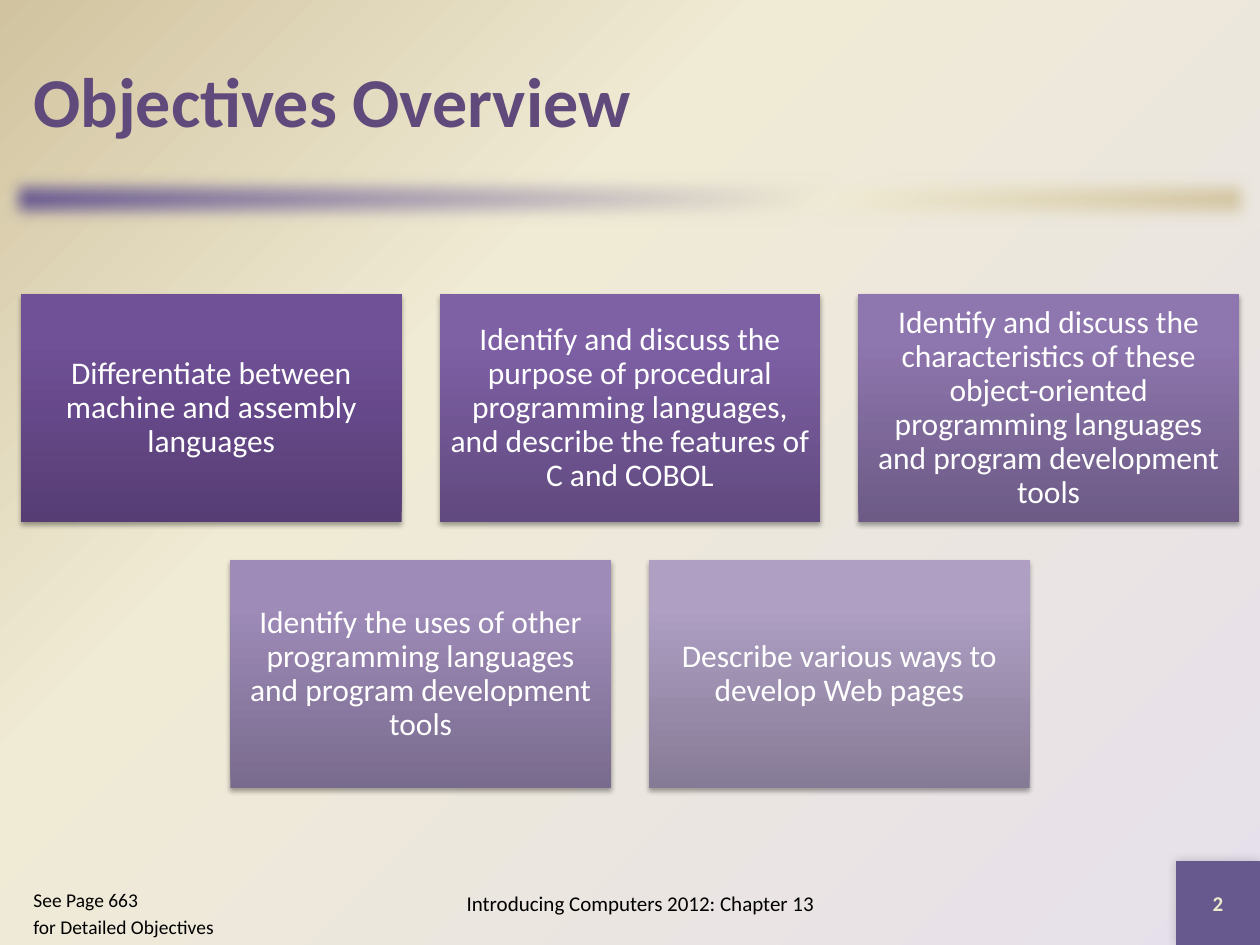
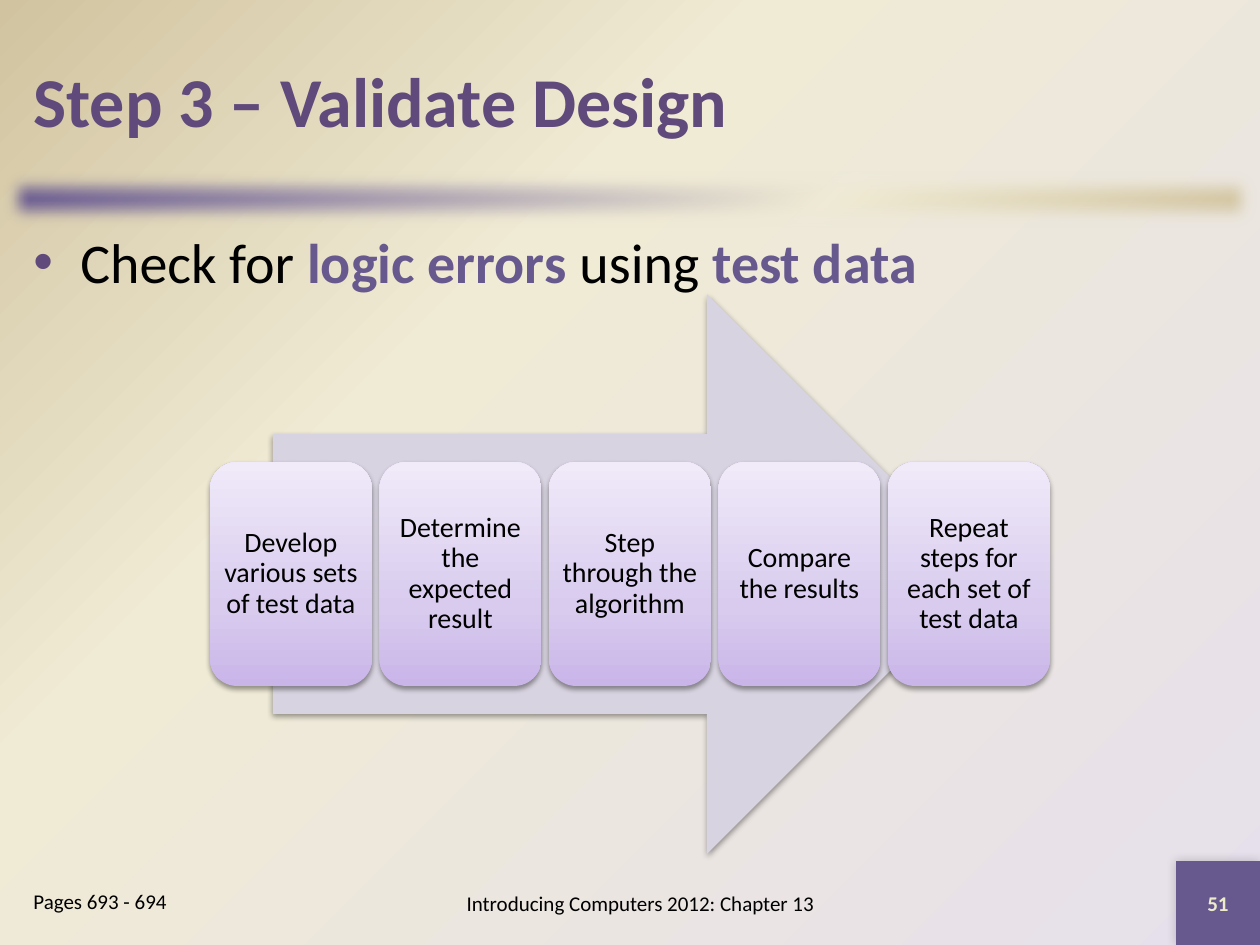
from lxml import etree
from pptx import Presentation
from pptx.dml.color import RGBColor
from pptx.enum.shapes import MSO_SHAPE as SHAPE
from pptx.enum.text import MSO_ANCHOR as ANCHOR, PP_ALIGN as ALIGN
from pptx.oxml import parse_xml
from pptx.oxml.ns import nsdecls, qn
from pptx.util import Pt

PX = 914400 / 126
WIDTH, HEIGHT = 1260, 945
FONT = "Calibri"
VIOLET, PLUM, CREAM = "67588E", "604A7B", "EEEBCA"
BLACK, WHITE = "000000", "FFFFFF"
BACKDROP = [(0, "E6E0EC"), (65, "F0EBD5"), (100, "D1C39F")]
BAND = [(0, VIOLET)] + BACKDROP[1:]
STEP_FILL = [(0, "C9B5E8"), (35, "D8CBEE"), (100, "F0EAF9")]
FOOTER = "Introducing Computers 2012: Chapter 13"

# Shadows: opacity %, blur pt, distance pt, direction in degrees
CARD_SHADOW = (35, 3.1, 1.8, 90)
STEP_SHADOW = (38, 3.1, 1.6, 90)
CORNER_SHADOW = (20, 6, 0, 225)

TITLE = {"size": Pt(40), "bold": True, "color": PLUM}
BODY = {"size": Pt(32), "color": BLACK}
TERM = {**BODY, "bold": True, "color": VIOLET}
NOTE = {"size": Pt(12), "color": BLACK}
NUMBER = {"size": Pt(12), "bold": True, "color": CREAM}
CARD = {"size": Pt(18), "color": WHITE}
STEP = {"size": Pt(16), "color": BLACK}
CENTER = {"alignment": ALIGN.CENTER}
TIGHT = {**CENTER, "line_spacing": 0.9}

OBJECTIVES = [
    [("Differentiate between machine and assembly languages",
      ("563D74", "705097", "704F99")),
     ("Identify and discuss the purpose of procedural programming languages, "
      "and describe the features of C and COBOL",
      ("614A7F", "7E60A5", "7F60A7")),
     ("Identify and discuss the characteristics of these object-oriented "
      "programming languages and program development tools",
      ("6D5B86", "8E76AE", "8E75B0"))],
    [("Identify the uses of other programming languages and program "
      "development tools", ("796B8E", "9E8BB8", "9E8BBA")),
     ("Describe various ways to develop Web pages",
      ("867B96", "AE9FC3", "AE9FC4"))],
]
STEPS = ["Develop various sets of test data", "Determine the expected result",
         "Step through the algorithm", "Compare the results",
         "Repeat steps for each set of test data"]


def px(n):
    return round(n * PX)


def rgb(color):
    return RGBColor.from_string(color)


def gradient(parent, stops, angle=None):
    """Swap the empty fill of parent for a linear or a corner gradient."""
    gs = "".join(f'<a:gs pos="{pos * 1000}"><a:srgbClr val="{c}"/></a:gs>'
                 for pos, c in stops)
    if angle is None:
        shade = ('<a:path path="circle"><a:fillToRect l="100000" t="100000"/>'
                 '</a:path><a:tileRect r="-100000" b="-100000"/>')
    else:
        shade = f'<a:lin ang="{angle * 60000}" scaled="0"/>'
    parent.replace(parent.find(qn("a:noFill")), parse_xml(
        f'<a:gradFill {nsdecls("a")} rotWithShape="1">'
        f'<a:gsLst>{gs}</a:gsLst>{shade}</a:gradFill>'))


def add_effect(sp, xml):
    sp.element.spPr.find(qn("a:effectLst")).append(parse_xml(xml))


def add_shadow(sp, opacity, blur, dist, angle):
    add_effect(sp, f'<a:outerShdw {nsdecls("a")} blurRad="{Pt(blur)}" '
                   f'dist="{Pt(dist)}" dir="{angle * 60000}" algn="ctr" '
                   f'rotWithShape="0"><a:srgbClr val="{BLACK}">'
                   f'<a:alpha val="{opacity * 1000}"/></a:srgbClr>'
                   '</a:outerShdw>')


def add_bullet(p, color, indent):
    pPr = p._p.get_or_add_pPr()
    pPr.set("marL", str(px(indent)))
    pPr.set("indent", str(-px(indent)))
    clr = etree.SubElement(pPr, qn("a:buClr"))
    etree.SubElement(clr, qn("a:srgbClr"), val=color)
    etree.SubElement(pPr, qn("a:buFont"), typeface="Arial")
    etree.SubElement(pPr, qn("a:buChar"), char="•")


def add_runs(p, runs, para=None):
    for name, value in (para or {}).items():
        setattr(p, name, value)
    for text, fmt in runs:
        r = p.add_run()
        r.text = text
        r.font.name = FONT
        for name, value in fmt.items():
            if name == "color":
                r.font.color.rgb = rgb(value)
            else:
                setattr(r.font, name, value)


def set_frame(sp, anchor=ANCHOR.MIDDLE, inset=None):
    tf = sp.text_frame
    tf.word_wrap = True
    tf.vertical_anchor = anchor
    if inset is not None:
        for side in ("left", "top", "right", "bottom"):
            setattr(tf, f"margin_{side}", px(inset))
    return tf


def add_text(s, box, anchor=ANCHOR.MIDDLE):
    return set_frame(s.shapes.add_textbox(*map(px, box)), anchor)


def add_shape(s, kind, box, fill, angle=270, shadow=None):
    sp = s.shapes.add_shape(kind, *map(px, box))
    if isinstance(fill, str):
        sp.fill.solid()
        sp.fill.fore_color.rgb = rgb(fill)
    else:
        sp.fill.background()
        gradient(sp.element.spPr, fill, angle)
    sp.line.fill.background()
    sp.shadow.inherit = False
    if shadow:
        add_shadow(sp, *shadow)
    return sp


def add_frame(prs, title, number, notes, note_size=12):
    """Title, soft band, corner number and footers of every slide."""
    s = prs.slides.add_slide(prs.slide_layouts[6])
    band = add_shape(s, SHAPE.RECTANGLE, (0, 168, WIDTH, 63), BAND, 45)
    add_effect(band, f'<a:softEdge {nsdecls("a")} rad="{Pt(10)}"/>')
    corner = add_shape(s, SHAPE.RECTANGLE, (WIDTH - 84, HEIGHT - 84, 84, 84),
                       VIOLET, shadow=CORNER_SHADOW)
    add_runs(set_frame(corner).paragraphs[0], [(number, NUMBER)], CENTER)

    tf = add_text(s, (21, 21, 1218, 158))
    add_runs(tf.paragraphs[0], [(title, TITLE)])
    tf = add_text(s, (378, 872, 525, 63))
    add_runs(tf.paragraphs[0], [(FOOTER, NOTE)], CENTER)

    tf = add_text(s, (21, 882, 231, 63), ANCHOR.TOP)
    fmt = {**NOTE, "size": Pt(note_size)}
    for i, note in enumerate(notes):
        p = tf.add_paragraph() if i else tf.paragraphs[0]
        add_runs(p, [(note, fmt)], {"space_before": Pt(2.2 if i else 0)})
    return s


def add_cards(s, box, rows, gap=38):
    """Rows of equal cards, each row centred in the box."""
    x, y, w, h = box
    card_w = (w - 2 * gap) / 3
    card_h = (h - gap) / 2
    for i, row in enumerate(rows):
        left = x + (w - len(row) * (card_w + gap) + gap) / 2
        for j, (text, colors) in enumerate(row):
            sp = add_shape(s, SHAPE.RECTANGLE,
                           (left + j * (card_w + gap), y + i * (card_h + gap),
                            card_w, card_h),
                           list(zip((0, 80, 100), colors)), shadow=CARD_SHADOW)
            tf = set_frame(sp, inset=9)
            add_runs(tf.paragraphs[0], [(text, CARD)], TIGHT)


def add_process(s, box, steps):
    """Rounded steps over a wide arrow that fills the box height."""
    x, y, w, h = box
    add_shape(s, SHAPE.RIGHT_ARROW, (x + w * 0.075, y, w * 0.85, h),
              "D8D3E0", shadow=STEP_SHADOW)
    step_w = 162
    pitch = (w - step_w) / (len(steps) - 1)
    for i, text in enumerate(steps):
        sp = add_shape(s, SHAPE.ROUNDED_RECTANGLE,
                       (x + i * pitch, y + h * 0.3, step_w, h * 0.4),
                       STEP_FILL, shadow=STEP_SHADOW)
        tf = set_frame(sp, inset=1)
        add_runs(tf.paragraphs[0], [(text, STEP)], TIGHT)


def objectives_slide(prs):
    s = add_frame(prs, "Objectives Overview", "2",
                  ["See Page 663", "for Detailed Objectives"], 11.1)
    add_cards(s, (21, 294, 1218, 494), OBJECTIVES)


def validate_slide(prs):
    s = add_frame(prs, "Step 3 – Validate Design", "51", ["Pages 693 - 694"])
    p = add_text(s, (21, 221, 1218, 640), ANCHOR.TOP).paragraphs[0]
    add_bullet(p, PLUM, 47)
    add_runs(p, [("Check for ", BODY), ("logic errors ", TERM),
                 ("using ", BODY), ("test data", TERM)])
    add_process(s, (210, 294, 840, 560), STEPS)


def main():
    prs = Presentation()
    prs.slide_width, prs.slide_height = px(WIDTH), px(HEIGHT)
    # Shared backdrop
    master = prs.slide_master
    master.background.fill.background()
    gradient(master.element.find(".//" + qn("p:bgPr")), BACKDROP)
    objectives_slide(prs)
    validate_slide(prs)
    prs.save("out.pptx")


if __name__ == "__main__":
    main()
